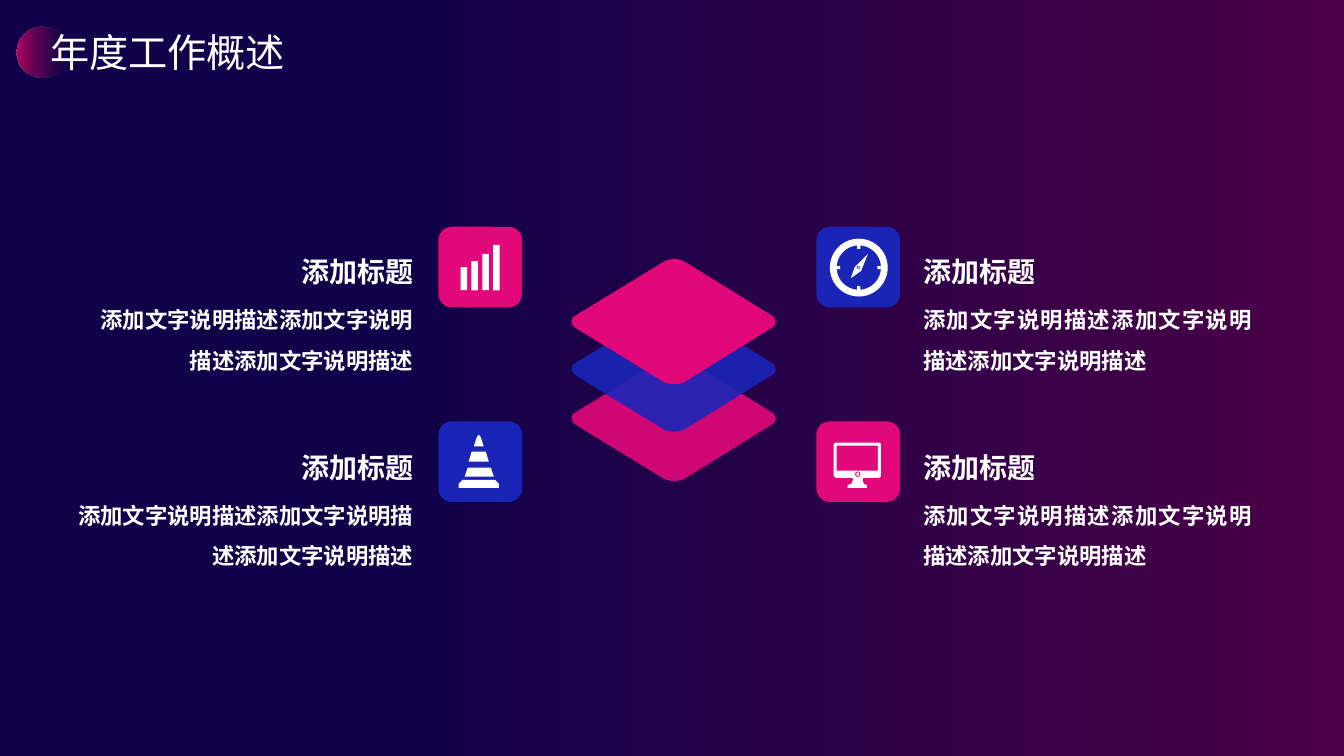
from math import cos, radians, sin

from lxml.etree import SubElement
from pptx import Presentation
from pptx.dml.color import RGBColor
from pptx.enum.shapes import MSO_SHAPE as Shape
from pptx.enum.text import MSO_AUTO_SIZE as AutoSize, PP_ALIGN as Align
from pptx.oxml.ns import qn
from pptx.util import Inches, Pt

NAVY = RGBColor(0x12, 0x02, 0x49)
PLUM = RGBColor(0x4B, 0x01, 0x47)
CRIMSON = RGBColor(0xB3, 0x06, 0x60)
VIOLET = RGBColor(0x57, 0x01, 0x52)
PINK = RGBColor(0xE2, 0x08, 0x7A)
BLUE = RGBColor(0x1A, 0x25, 0xB8)
WHITE = RGBColor(0xFF, 0xFF, 0xFF)

COLUMNS, ROWS = 133.33, 75
FONT = "Noto Sans CJK SC"
HEADING = "添加标题"
BODY = "添加文字说明描述" * 3


def arc(center_x, center_y, radius, start=0, end=360, steps=48):
    angles = [radians(start + (end - start) * i / steps) for i in range(steps + 1)]
    return [(center_x + radius * cos(a), center_y + radius * sin(a)) for a in angles]


def flatten(contour, steps=10):
    points = [contour[0]]
    for item in contour[1:]:
        if len(item) == 2:
            points.append(item)
            continue
        x0, y0 = points[-1]
        x1, y1, x2, y2, x3, y3 = item
        for i in range(1, steps + 1):
            t = i / steps
            a, b, c, d = (1 - t) ** 3, 3 * t * (1 - t) ** 2, 3 * t * t * (1 - t), t ** 3
            points.append((a * x0 + b * x1 + c * x2 + d * x3,
                           a * y0 + b * y1 + c * y2 + d * y3))
    return points


class Deck:
    def __init__(self, font):
        self.font = font
        self.presentation = Presentation()
        self.presentation.slide_width = Inches(13.33)
        self.presentation.slide_height = Inches(7.5)
        self.slide = self.presentation.slides.add_slide(self.presentation.slide_layouts[6])

    def place(self, x, y):
        return (round(self.presentation.slide_width * x / COLUMNS),
                round(self.presentation.slide_height * y / ROWS))

    def gradient(self, fill, *stops):
        fill.gradient()
        fill.gradient_angle = 0
        for stop, (position, color) in zip(fill.gradient_stops, stops):
            stop.position = position
            stop.color.rgb = color

    def opacity(self, shape, percent):
        color = list(shape.element.iter(qn("a:srgbClr")))[-1]
        SubElement(color, qn("a:alpha"), val=str(percent * 1000))

    def finish(self, shape, color):
        shape.shadow.inherit = False
        shape.line.fill.background()
        shape.fill.solid()
        shape.fill.fore_color.rgb = color
        return shape

    def preset(self, kind, x, y, width, height, color):
        shape = self.slide.shapes.add_shape(kind, *self.place(x, y), *self.place(width, height))
        return self.finish(shape, color)

    def outline(self, color, *contours):
        builder = None
        for contour in contours:
            points = [self.place(x, y) for x, y in flatten(contour)]
            if builder is None:
                builder = self.slide.shapes.build_freeform(*points[0])
            else:
                builder.move_to(*points[0])
            builder.add_line_segments(points[1:], close=True)
        return self.finish(builder.convert_to_shape(), color)

    def text(self, x, y, width, height, words, size, bold=False,
             align=Align.LEFT, spacing=1.0, wrap=True):
        box = self.slide.shapes.add_textbox(*self.place(x, y), *self.place(width, height))
        frame = box.text_frame
        frame.word_wrap = wrap
        frame.auto_size = AutoSize.SHAPE_TO_FIT_TEXT
        paragraph = frame.paragraphs[0]
        paragraph.alignment = align
        paragraph.line_spacing = spacing
        run = paragraph.add_run()
        run.text = words
        run.font.size = Pt(size)
        run.font.bold = bold
        run.font.color.rgb = WHITE
        run.font.name = self.font
        SubElement(run.font._element, qn("a:ea"), typeface=self.font)

    def title(self, words):
        dot = self.preset(Shape.OVAL, 1.6, 2.6, 5.1, 5.1, CRIMSON)
        self.gradient(dot.fill, (0, CRIMSON), (1, VIOLET))
        self.opacity(dot, 0)
        self.text(4, 2.3, 26.3, 5.7, words, 28)

    def layer(self, top, color, percent):
        diamond = [(0.6, 5.7), (9.3, 0.4), (9.9, 0, 10.9, 0, 11.5, 0.4),
                   (19.9, 5.6), (20.6, 6, 20.6, 6.6, 20.1, 6.9),
                   (11.4, 12.3), (10.8, 12.6, 9.8, 12.6, 9.2, 12.2),
                   (0.7, 7), (0.1, 6.6, 0, 6, 0.6, 5.7)]
        moved = [tuple(v + (top if i % 2 else 56.5) for i, v in enumerate(item))
                 for item in diamond]
        shape = self.outline(color, moved)
        if percent < 100:
            self.opacity(shape, percent)

    def panel(self, tile_x, tile_y, color, text_x, text_y, width, heading_x, align, body_align):
        self.preset(Shape.ROUNDED_RECTANGLE, tile_x, tile_y, 8.3, 8, color)
        self.text(text_x, text_y, width, 8.6, BODY, 16, True, body_align, 1.5)
        self.text(heading_x, text_y - 4.5, 13.2, 4.7, HEADING, 20, True, align, 1.2, False)

    def bars_icon(self):
        for i, top in enumerate((26.5, 25.9, 25.2, 24.3)):
            self.preset(Shape.RECTANGLE, 45.7 + 1.07 * i, top, 0.65, 28.8 - top, WHITE)

    def compass_icon(self):
        x, y = 85.2, 26.55
        dial = []
        for quarter in range(0, 360, 90):
            dial += arc(x, y, 2.2, quarter + 4, quarter + 86, 16)
            dial += arc(x, y, 1.85, quarter + 85, quarter + 95, 1)
        self.outline(WHITE, arc(x, y, 2.87), dial)
        needle = [(84.8, 26.5), (84.4, 27.6), (85.4, 26.9),
                  (85.5, 26.7), (86.1, 25.2), (84.9, 26.4)]
        self.outline(WHITE, needle, arc(85.15, y, 0.17))
        self.preset(Shape.OVAL, 85.05, 26.45, 0.2, 0.2, WHITE)

    def cone_icon(self):
        self.outline(
            WHITE,
            [(49.5, 48.4), (45.5, 48.4), (45.5, 48), (45.9, 47.6), (49.1, 47.6), (49.5, 48)],
            [(46.1, 47.3), (46.4, 46.4), (48.7, 46.4), (49, 47.3)],
            [(46.5, 45.8), (46.8, 44.8), (48.2, 44.8), (48.5, 45.8)],
            [(47.3, 43.4), (47.3, 43.4, 47.5, 42.9, 47.7, 43.4), (48, 44.3), (47, 44.3)])

    def monitor_icon(self):
        body = [(87.1, 43.9), (83, 43.9), (82.9, 43.9, 82.7, 44, 82.7, 44.2),
                (82.7, 47.1), (82.7, 47.3, 82.9, 47.4, 83, 47.4),
                (84.6, 47.4), (84.6, 47.4, 84.7, 48.1, 84.1, 48.1), (84.1, 48.4),
                (86, 48.4), (86, 48.1), (85.5, 48.1, 85.6, 47.4, 85.6, 47.4),
                (87.1, 47.4), (87.3, 47.4, 87.4, 47.3, 87.4, 47.1),
                (87.4, 44.2), (87.4, 44, 87.3, 43.9, 87.1, 43.9)]
        screen = [(83, 44.2), (87.1, 44.2), (87.1, 46.7), (83, 46.7)]
        self.outline(WHITE, body, screen, arc(85.1, 47.05, 0.27))
        self.preset(Shape.OVAL, 84.95, 46.87, 0.3, 0.35, WHITE)


def main():
    deck = Deck(FONT)
    deck.gradient(deck.slide.background.fill, (0.3, NAVY), (1, PLUM))
    deck.title("年度工作概述")
    for top, color, percent in ((35.2, PINK, 90), (30.3, BLUE, 90), (25.6, PINK, 100)):
        deck.layer(top, color, percent)
    rows = ((22.5, 28.6, PINK, BLUE, 7.4), (41.8, 48, BLUE, PINK, 6.6))
    for tile_y, text_y, left_color, right_color, left_x in rows:
        deck.panel(43.5, tile_y, left_color, left_x, text_y, 42 - left_x,
                   28.8, Align.RIGHT, Align.RIGHT)
        deck.panel(81, tile_y, right_color, 90.6, text_y, 34.6,
                   90.6, Align.LEFT, Align.JUSTIFY)
    deck.bars_icon()
    deck.compass_icon()
    deck.cone_icon()
    deck.monitor_icon()
    deck.presentation.save("out.pptx")


if __name__ == "__main__":
    main()
